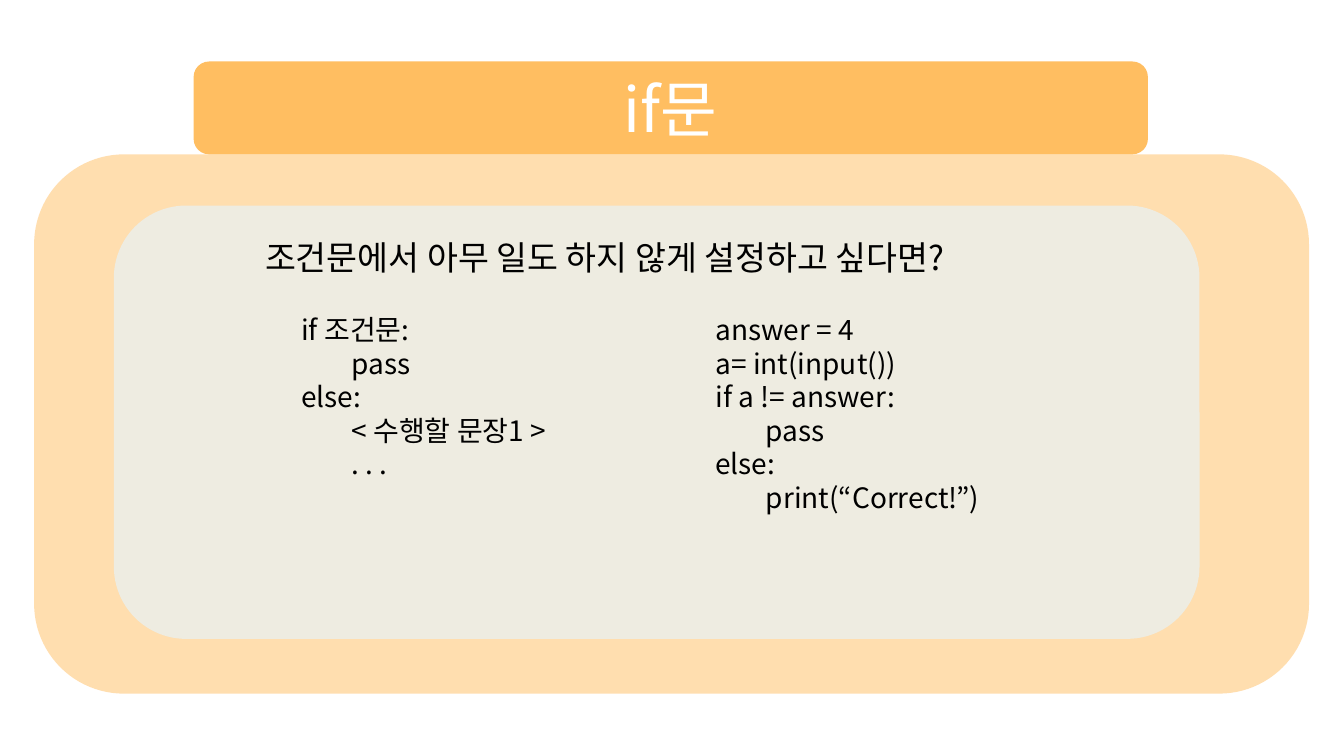
import pptx
import pptx.dml.color
import pptx.enum.shapes
import pptx.enum.text
import pptx.oxml.ns
import pptx.util
from lxml import etree

Cm = pptx.util.Cm
RGB = pptx.dml.color.RGBColor
ALIGN = pptx.enum.text.PP_ALIGN
ANCHOR = pptx.enum.text.MSO_ANCHOR
qn = pptx.oxml.ns.qn

ORANGE = RGB(0xFF, 0xBE, 0x61)
CREAM = RGB(0xEE, 0xEC, 0xE1)
WHITE = RGB(0xFF, 0xFF, 0xFF)
BLACK = RGB(0x00, 0x00, 0x00)
FONT = "Noto Sans CJK KR"

deck = pptx.Presentation()
deck.slide_width, deck.slide_height = Cm(33.87), Cm(19.05)
slide = deck.slides.add_slide(deck.slide_layouts[5])


def write(box, lines, size, color=BLACK, align=ALIGN.LEFT, anchor=ANCHOR.TOP):
    frame = box.text_frame
    frame.word_wrap = True
    frame.auto_size = pptx.enum.text.MSO_AUTO_SIZE.NONE
    frame.vertical_anchor = anchor
    for i, line in enumerate(lines):
        para = frame.paragraphs[0] if i == 0 else frame.add_paragraph()
        para.alignment = align
        run = para.add_run()
        run.text = line
        run.font.size = pptx.util.Pt(size)
        run.font.name = FONT
        run.font.color.rgb = color
        # Hangul takes the East Asian font
        etree.SubElement(run.font._element, qn("a:ea"), typeface=FONT)


# Rounded panels: title bar, outer frame, inner board
bar = (Cm(4.88), Cm(1.55), Cm(24.05), Cm(2.34))
panels = [
    (bar, ORANGE, 100),
    ((Cm(0.86), Cm(3.89), Cm(32.13), Cm(13.59)), ORANGE, 50),
    ((Cm(2.87), Cm(5.18), Cm(27.36), Cm(10.92)), CREAM, 100),
]
for place, color, solid in panels:
    panel = slide.shapes.add_shape(
        pptx.enum.shapes.MSO_SHAPE.ROUNDED_RECTANGLE, *place)
    panel.shadow.inherit = False
    panel.fill.solid()
    panel.fill.fore_color.rgb = color
    panel.line.fill.background()
    if solid < 100:
        tint = panel._element.spPr.find(".//" + qn("a:srgbClr"))
        etree.SubElement(tint, qn("a:alpha"), val=str(solid * 1000))

# Title, brought in front of its bar
title = slide.shapes.title
title.left, title.top, title.width, title.height = bar
write(title, ["if문"], 44, WHITE, ALIGN.CENTER, ANCHOR.MIDDLE)
slide.shapes._spTree.append(title._element)

# Question and the two code samples
texts = [
    (6.43, 5.84, 20.96, 1.27, 24,
     ["조건문에서 아무 일도 하지 않게 설정하고 싶다면?"]),
    (7.34, 7.75, 9.6, 5.38, 20,
     ["if 조건문:", "\tpass", "else:", "\t< 수행할 문장1 >", "\t. . ."]),
    (17.78, 7.75, 9.6, 6.25, 20,
     ["answer = 4", "a= int(input())", "if a != answer:", "\tpass",
      "else:", "\tprint(“Correct!”)"]),
]
for left, top, width, height, size, lines in texts:
    box = slide.shapes.add_textbox(Cm(left), Cm(top), Cm(width), Cm(height))
    write(box, lines, size)

deck.save("out.pptx")
